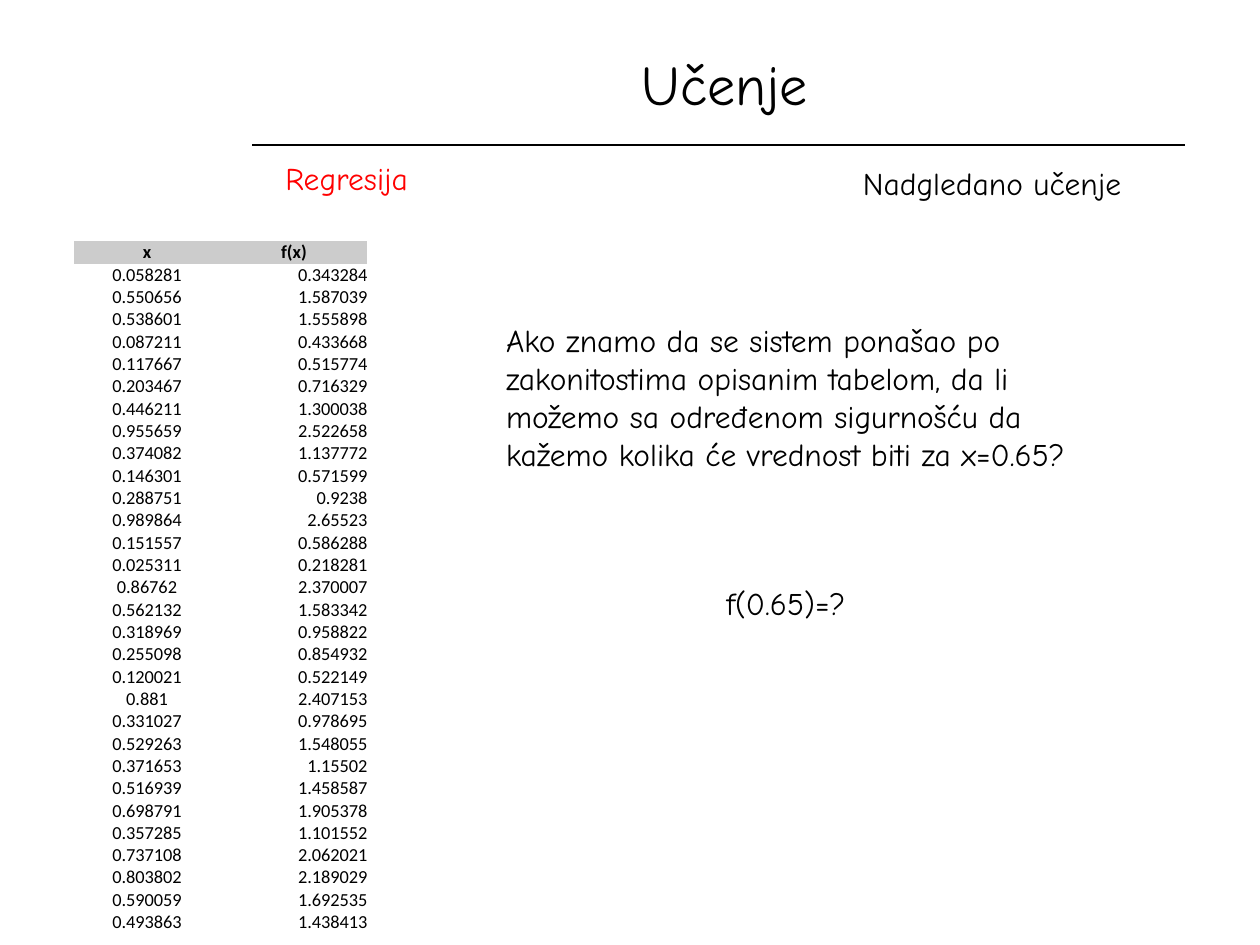
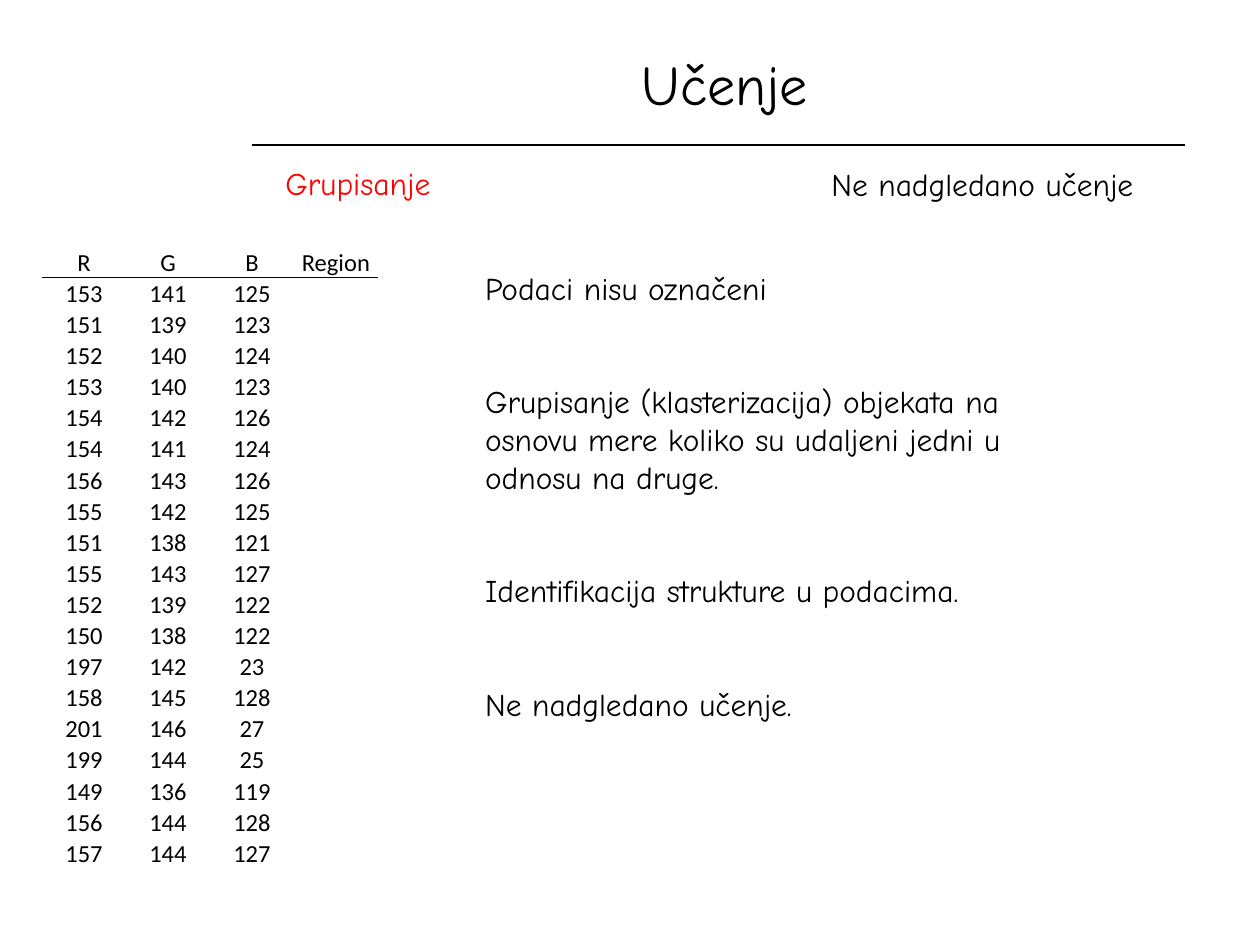
from dataclasses import dataclass

from lxml import etree
from pptx import Presentation, util as u
from pptx.dml.color import RGBColor
from pptx.enum import shapes, text
from pptx.oxml.ns import qn


@dataclass(frozen=True)
class Theme:
    ink: str = "000000"
    accent: str = "FF0000"
    paper: str = "FFFFFF"
    header_band: str = "CCCCCC"
    prose_font: str = "Comic Neue"
    data_font: str = "Calibri"
    title_size: float = 32
    prose_size: float = 18
    rule_weight: float = 0.75
    border_weight: float = 0.5
    paragraph_gap: float = 43.2


@dataclass(frozen=True)
class Box:
    column: float
    row: float
    columns: float
    rows: float


@dataclass(frozen=True)
class Label:
    wording: str
    box: Box
    color: str


@dataclass(frozen=True)
class DataTable:
    rows: list[list[str]]
    box: Box
    size: float
    alignments: tuple
    insets: tuple[float, float, float, float]
    banded_header: bool = False
    ruled_header: bool = False


@dataclass(frozen=True)
class Lesson:
    labels: tuple[Label, ...]
    data: DataTable
    body: tuple[str, ...]
    body_box: Box


THEME = Theme()
SLIDE_WIDTH, SLIDE_HEIGHT = u.Inches(10), u.Inches(7.5)
GRID_COLUMNS, GRID_ROWS = 120, 90
TITLE = "Učenje"
TITLE_BOX = Box(24, 3.4, 90, 9)
RULE_BOX = Box(24, 13.8, 88.9, 0)
PLAIN_TABLE_STYLE = "{2D5ABB26-0587-4C30-8999-92F81FD0307C}"
LEFT, CENTER, RIGHT = text.PP_ALIGN.LEFT, text.PP_ALIGN.CENTER, text.PP_ALIGN.RIGHT

FUNCTION_SAMPLES = """
x f(x)
0.058281 0.343284
0.550656 1.587039
0.538601 1.555898
0.087211 0.433668
0.117667 0.515774
0.203467 0.716329
0.446211 1.300038
0.955659 2.522658
0.374082 1.137772
0.146301 0.571599
0.288751 0.9238
0.989864 2.65523
0.151557 0.586288
0.025311 0.218281
0.86762 2.370007
0.562132 1.583342
0.318969 0.958822
0.255098 0.854932
0.120021 0.522149
0.881 2.407153
0.331027 0.978695
0.529263 1.548055
0.371653 1.15502
0.516939 1.458587
0.698791 1.905378
0.357285 1.101552
0.737108 2.062021
0.803802 2.189029
0.590059 1.692535
0.493863 1.438413
"""

PIXEL_COLORS = """
R G B Region
153 141 125
151 139 123
152 140 124
153 140 123
154 142 126
154 141 124
156 143 126
155 142 125
151 138 121
155 143 127
152 139 122
150 138 122
197 142 23
158 145 128
201 146 27
199 144 25
149 136 119
156 144 128
157 144 127
"""


def read_rows(listing: str) -> list[list[str]]:
    return [line.split() for line in listing.strip().splitlines()]


LESSONS = (
    Lesson(
        labels=(
            Label("Nadgledano učenje", Box(81, 15, 33, 4.8), THEME.ink),
            Label("f(0.65)=?", Box(68, 55, 17, 4.8), THEME.ink),
            Label("Regresija", Box(26, 14.6, 33, 4.8), THEME.accent),
        ),
        data=DataTable(
            read_rows(FUNCTION_SAMPLES), Box(7, 23, 28, 65), 10.5,
            (CENTER, RIGHT), (0, 0, 0, 0), banded_header=True,
        ),
        body=(
            "Ako znamo da se sistem ponašao po zakonitostima opisanim tabelom, "
            "da li možemo sa određenom sigurnošću da kažemo kolika će vrednost "
            "biti za x=0.65?",
        ),
        body_box=Box(47, 30, 61, 15.7),
    ),
    Lesson(
        labels=(
            Label("Ne nadgledano učenje", Box(78, 15.1, 36, 4.8), THEME.ink),
            Label("Grupisanje", Box(26, 15, 33, 4.8), THEME.accent),
        ),
        data=DataTable(
            read_rows(PIXEL_COLORS), Box(4, 23.5, 32, 58.5), 14,
            (CENTER,) * 4, (0.01, 0.01, 0.01, 0), ruled_header=True,
        ),
        body=(
            "Podaci nisu označeni",
            "Grupisanje (klasterizacija) objekata na osnovu mere koliko su "
            "udaljeni jedni u odnosu na druge.",
            "Identifikacija strukture u podacima.",
            "Ne nadgledano učenje.",
        ),
        body_box=Box(45, 25, 60, 44.9),
    ),
)


def across(columns: float) -> int:
    return round(SLIDE_WIDTH * columns / GRID_COLUMNS)


def down(rows: float) -> int:
    return round(SLIDE_HEIGHT * rows / GRID_ROWS)


def place(box: Box) -> tuple[int, int, int, int]:
    return across(box.column), down(box.row), across(box.columns), down(box.rows)


def write(paragraph, wording: str, *, size: float = THEME.prose_size,
          color: str = THEME.ink, font: str = THEME.prose_font,
          bold: bool = False, align=LEFT, gap: float = 0) -> None:
    paragraph.alignment = align
    paragraph.space_before = u.Pt(gap)
    if not wording:
        etree.SubElement(paragraph._p, qn("a:endParaRPr"), sz=str(int(size * 100)))
        return
    run = paragraph.add_run()
    run.text = wording
    run.font.size = u.Pt(size)
    run.font.name = font
    run.font.bold = bold
    run.font.color.rgb = RGBColor.from_string(color)


def move(placeholder, box: Box, anchor) -> None:
    placeholder.left, placeholder.top, placeholder.width, placeholder.height = place(box)
    frame = placeholder.text_frame
    frame.word_wrap = True
    frame.auto_size = text.MSO_AUTO_SIZE.NONE
    frame.vertical_anchor = anchor


def draw_title(slide) -> None:
    title = slide.shapes.title
    move(title, TITLE_BOX, text.MSO_ANCHOR.MIDDLE)
    write(title.text_frame.paragraphs[0], TITLE, size=THEME.title_size, align=CENTER)


def draw_rule(slide) -> None:
    left, top, width, height = place(RULE_BOX)
    rule = slide.shapes.add_connector(
        shapes.MSO_CONNECTOR.STRAIGHT, left, top, left + width, top + height)
    rule.line.width = u.Pt(THEME.rule_weight)
    rule.line.color.rgb = RGBColor.from_string(THEME.ink)
    etree.SubElement(rule._element.spPr, qn("a:effectLst"))


def draw_label(slide, label: Label) -> None:
    frame = slide.shapes.add_textbox(*place(label.box)).text_frame
    frame.word_wrap = True
    write(frame.paragraphs[0], label.wording, color=label.color)


def draw_body(slide, paragraphs: tuple[str, ...], box: Box) -> None:
    body = slide.placeholders[1]
    move(body, box, text.MSO_ANCHOR.TOP)
    for index, wording in enumerate(paragraphs):
        frame = body.text_frame
        paragraph = frame.add_paragraph() if index else frame.paragraphs[0]
        write(paragraph, wording, gap=THEME.paragraph_gap if index else 0)
        properties = paragraph._p.get_or_add_pPr()
        properties.set("marL", "0")
        properties.set("indent", "0")
        etree.SubElement(properties, qn("a:buNone"))


def underline(cell) -> None:
    border = etree.Element(qn("a:lnB"), w=str(u.Pt(THEME.border_weight)))
    fill = etree.SubElement(border, qn("a:solidFill"))
    etree.SubElement(fill, qn("a:srgbClr"), val=THEME.ink)
    cell._tc.get_or_add_tcPr().insert(0, border)


def draw_table(slide, data: DataTable) -> None:
    row_count, column_count = len(data.rows), len(data.alignments)
    frame = slide.shapes.add_table(row_count, column_count, *place(data.box))
    frame._element.find(".//" + qn("a:tableStyleId")).text = PLAIN_TABLE_STYLE
    table = frame.table
    table.first_row = table.horz_banding = False
    for column in table.columns:
        column.width = across(data.box.columns / column_count)
    for row_index, values in enumerate(data.rows):
        table.rows[row_index].height = down(data.box.rows / row_count)
        header = row_index == 0
        for column_index, alignment in enumerate(data.alignments):
            cell = table.cell(row_index, column_index)
            cell.margin_left, cell.margin_top, cell.margin_right, cell.margin_bottom = map(
                u.Inches, data.insets)
            cell.vertical_anchor = text.MSO_ANCHOR.BOTTOM
            if header and data.banded_header:
                cell.fill.solid()
                cell.fill.fore_color.rgb = RGBColor.from_string(THEME.header_band)
            else:
                cell.fill.background()
            if header and data.ruled_header:
                underline(cell)
            write(
                cell.text_frame.paragraphs[0],
                values[column_index] if column_index < len(values) else "",
                size=data.size, font=THEME.data_font,
                bold=header and data.banded_header,
                align=CENTER if header else alignment,
            )


def main() -> None:
    deck = Presentation()
    deck.slide_width, deck.slide_height = SLIDE_WIDTH, SLIDE_HEIGHT
    background = deck.slide_master.background.fill
    background.solid()
    background.fore_color.rgb = RGBColor.from_string(THEME.paper)
    for lesson in LESSONS:
        slide = deck.slides.add_slide(deck.slide_layouts.get_by_name("Title and Content"))
        draw_rule(slide)
        draw_title(slide)
        draw_table(slide, lesson.data)
        draw_body(slide, lesson.body, lesson.body_box)
        for label in lesson.labels:
            draw_label(slide, label)
    deck.save("out.pptx")


if __name__ == "__main__":
    main()
